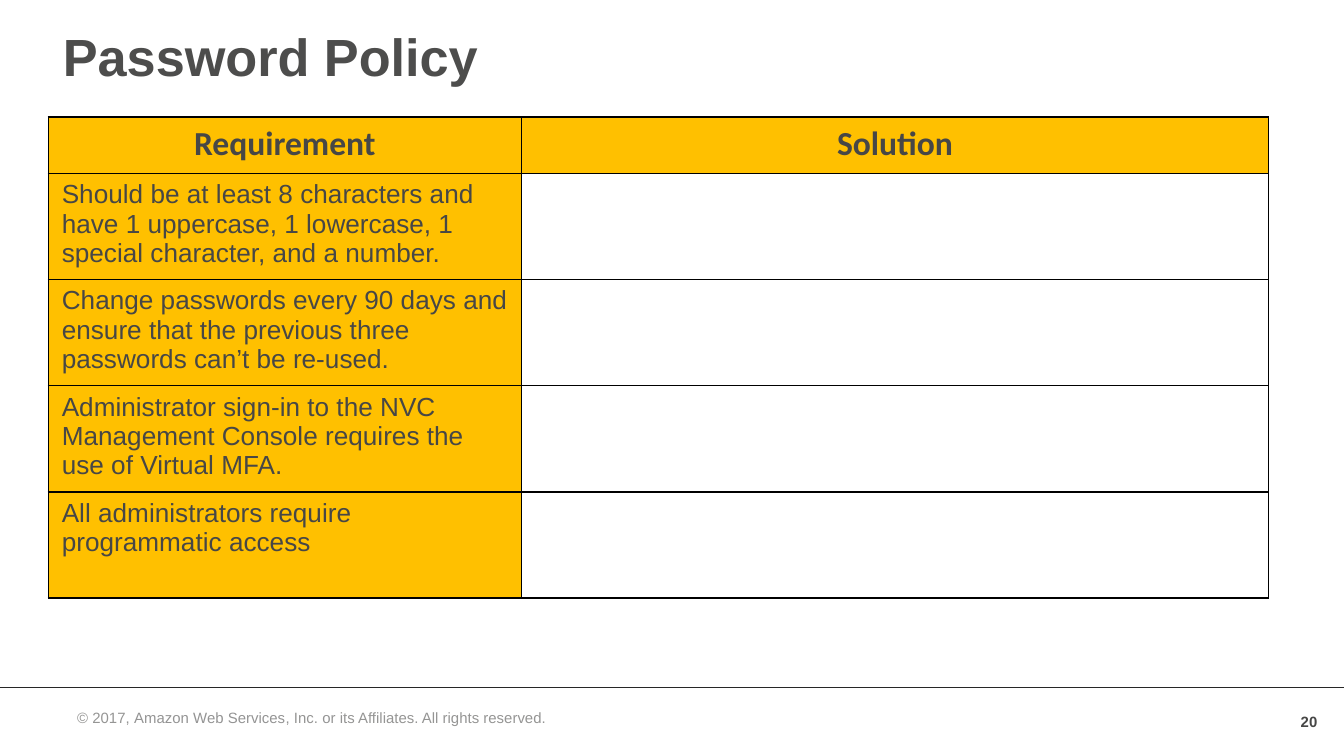
from dataclasses import dataclass
from typing import Optional

from lxml.etree import SubElement
from pptx import Presentation
from pptx.dml.color import RGBColor as RGB
from pptx.enum.shapes import MSO_CONNECTOR as Connector
from pptx.enum.text import MSO_ANCHOR as Anchor, PP_ALIGN as Align
from pptx.oxml.ns import qn
from pptx.util import Inches, Pt


@dataclass(frozen=True)
class Theme:
    sans: str = "Arial"
    header_font: str = "Calibri"
    title: str = "4D4D4C"
    ink: str = "474746"
    credit: str = "959594"
    credit_alt: str = "949494"
    rule: str = "272727"
    border: str = "000000"
    gold: str = "FFC000"
    title_pt: float = 28
    header_pt: float = 18
    body_pt: float = 14
    footer_pt: float = 8
    rule_pt: float = 0.25
    border_pt: float = 1


T = Theme()


@dataclass(frozen=True)
class Run:
    text: str
    size: float
    color: str
    bold: bool = False
    font: str = T.sans


@dataclass(frozen=True)
class TextBox:
    left: float
    top: float
    width: float
    height: float
    runs: tuple[Run, ...]
    align: Align = Align.LEFT
    anchor: Anchor = Anchor.TOP


CREDIT = (
    ("© 2017, ", T.credit),
    ("Amazon Web Services", T.credit_alt),
    (", Inc. ", T.credit),
    ("or", T.credit_alt),
    (" its Affiliates. All rights reserved.", T.credit),
)
BOXES = (
    TextBox(9.55, 5.22, 0.35, 0.3, (Run("20", T.footer_pt, T.ink, True),),
            Align.RIGHT, Anchor.MIDDLE),
    TextBox(0.37, 0.13, 8.97, 0.61,
            (Run("Password Policy", T.title_pt, T.title, True),)),
    TextBox(0.37, 5.22, 3.9, 0.3,
            tuple(Run(text, T.footer_pt, color) for text, color in CREDIT),
            Align.CENTER),
)
HEADERS = ("Requirement", "Solution")
REQUIREMENTS = (
    "Should be at least 8 characters and have 1 uppercase, 1 lowercase, "
    "1 special character, and a number.",
    "Change passwords every 90 days and ensure that the previous three "
    "passwords can’t be re-used.",
    "Administrator sign-in to the NVC Management Console requires the use "
    "of Virtual MFA.",
    "All administrators require programmatic access",
)
SLIDE_WIDTH = 10
COLUMN_WIDTHS = (3.52, 5.56)
HEADER_HEIGHT, ROW_HEIGHT = 0.42, 0.79
RULE_Y = 5.11
RULE_SPANS = ((0, 10), (0.1, 9.9))


def add_runs(tf, runs: tuple[Run, ...], align: Align, level: int = 0) -> None:
    p = tf.paragraphs[0]
    p.alignment = align
    if level:
        p.level = level
        p._p.get_or_add_pPr().set("marL", "0")
    for run in runs:
        r = p.add_run()
        r.text = run.text
        r.font.name = run.font
        r.font.size = Pt(run.size)
        r.font.bold = run.bold
        r.font.color.rgb = RGB.from_string(run.color)


def add_text(s, box: TextBox) -> None:
    sp = s.shapes.add_textbox(Inches(box.left), Inches(box.top),
                              Inches(box.width), Inches(box.height))
    tf = sp.text_frame
    tf.word_wrap = True
    tf.vertical_anchor = box.anchor
    add_runs(tf, box.runs, box.align)


def add_rule(s, start: float, end: float) -> None:
    line = s.shapes.add_connector(Connector.STRAIGHT, Inches(start), Inches(RULE_Y),
                                  Inches(end), Inches(RULE_Y))
    line.line.color.rgb = RGB.from_string(T.rule)
    line.line.width = Pt(T.rule_pt)
    SubElement(line._element.spPr, qn("a:effectLst"))


def style_cell(cell, fill: Optional[str]) -> None:
    tc_pr = cell._tc.get_or_add_tcPr()
    for side in ("lnL", "lnR", "lnT", "lnB"):
        ln = SubElement(tc_pr, qn(f"a:{side}"), w=str(Pt(T.border_pt)))
        solid = SubElement(ln, qn("a:solidFill"))
        SubElement(solid, qn("a:srgbClr"), val=T.border)
    if fill:
        cell.fill.solid()
        cell.fill.fore_color.rgb = RGB.from_string(fill)
    else:
        cell.fill.background()


def add_policy_table(s) -> None:
    heights = (HEADER_HEIGHT,) + (ROW_HEIGHT,) * len(REQUIREMENTS)
    table = s.shapes.add_table(len(heights), len(COLUMN_WIDTHS), Inches(0.36), Inches(0.87),
                               Inches(sum(COLUMN_WIDTHS)), Inches(sum(heights))).table
    table.first_row = table.horz_banding = False
    for column, width in zip(table.columns, COLUMN_WIDTHS):
        column.width = Inches(width)
    for row, height in zip(table.rows, heights):
        row.height = Inches(height)
    for i in range(len(heights)):
        for j in range(len(COLUMN_WIDTHS)):
            style_cell(table.cell(i, j), T.gold if i == 0 or j == 0 else None)
    for j, text in enumerate(HEADERS):
        header = Run(text, T.header_pt, T.ink, True, T.header_font)
        add_runs(table.cell(0, j).text_frame, (header,), Align.CENTER)
    for i, text in enumerate(REQUIREMENTS, start=1):
        requirement = Run(text, T.body_pt, T.ink)
        add_runs(table.cell(i, 0).text_frame, (requirement,), Align.LEFT, level=1)


def main() -> None:
    prs = Presentation()
    prs.slide_width = Inches(SLIDE_WIDTH)
    prs.slide_height = Inches(SLIDE_WIDTH * 9 / 16)
    s = prs.slides.add_slide(prs.slide_layouts[6])
    for start, end in RULE_SPANS:
        add_rule(s, start, end)
    add_policy_table(s)
    for box in BOXES:
        add_text(s, box)
    prs.save("out.pptx")


if __name__ == "__main__":
    main()
